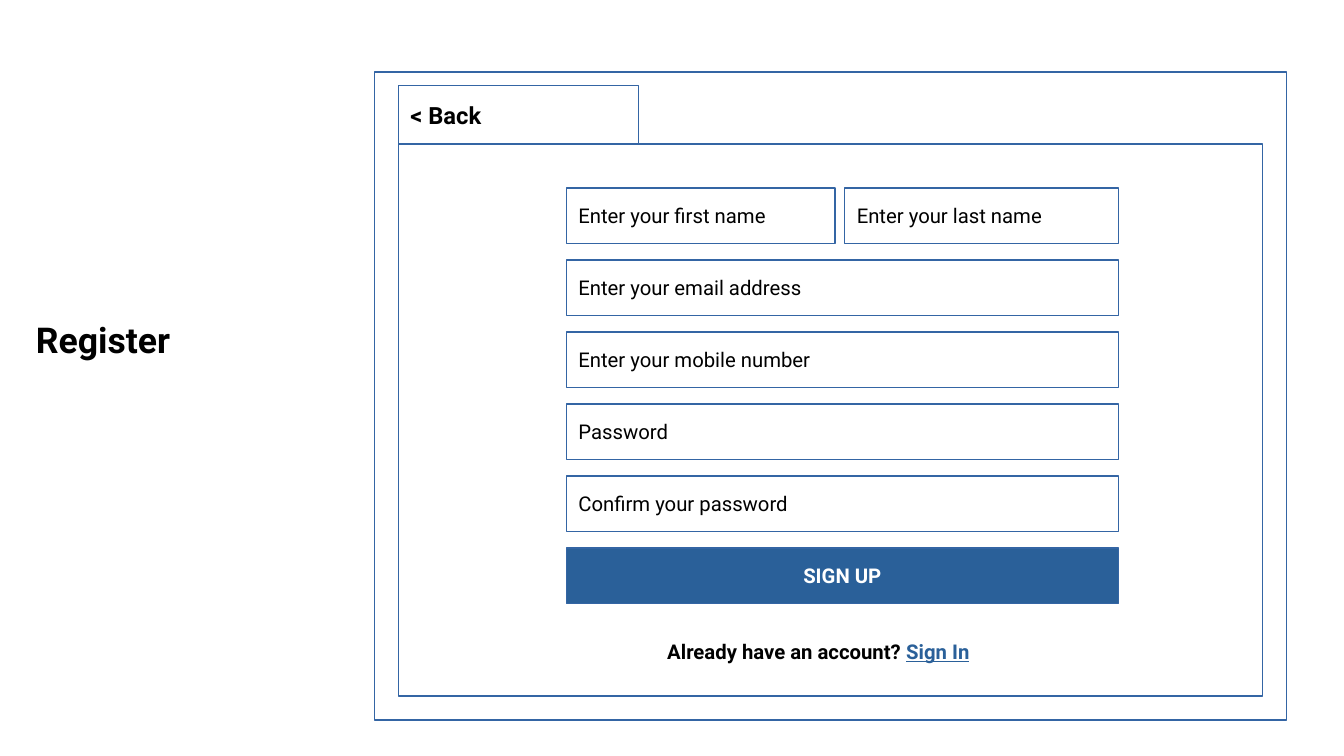
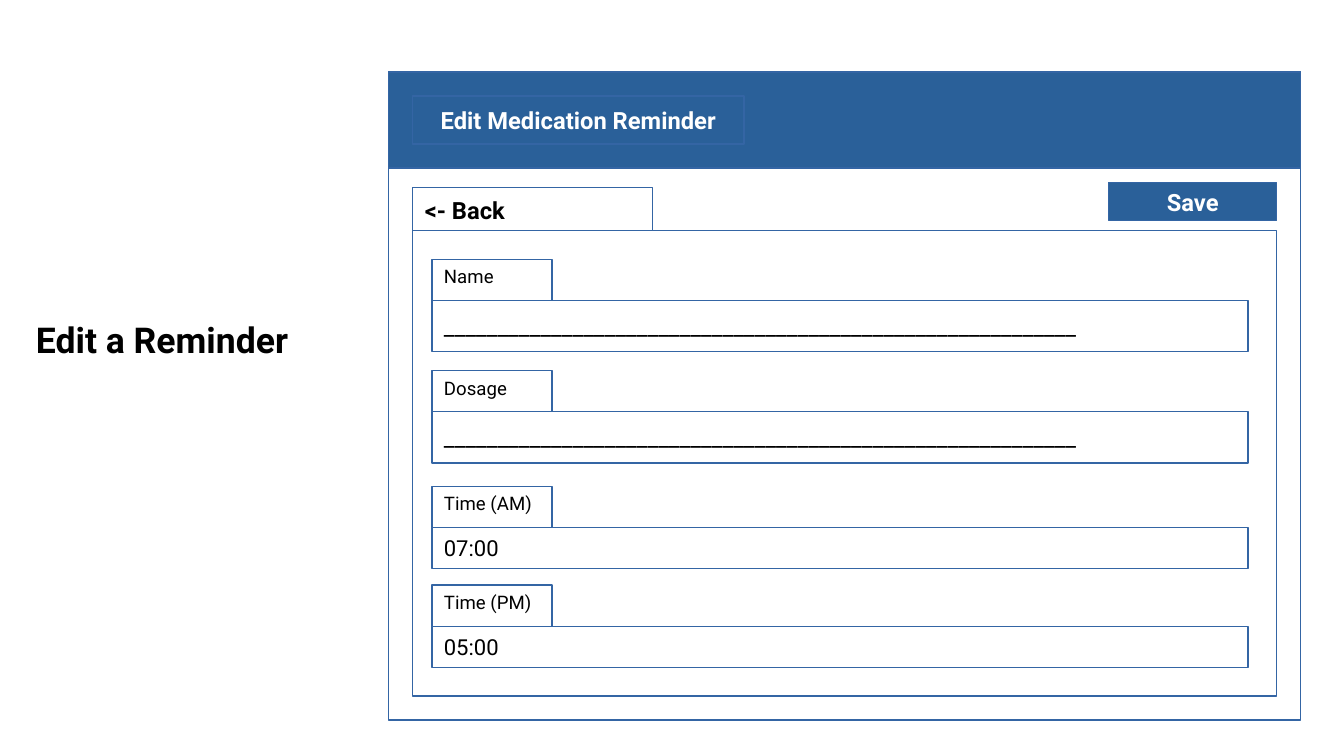
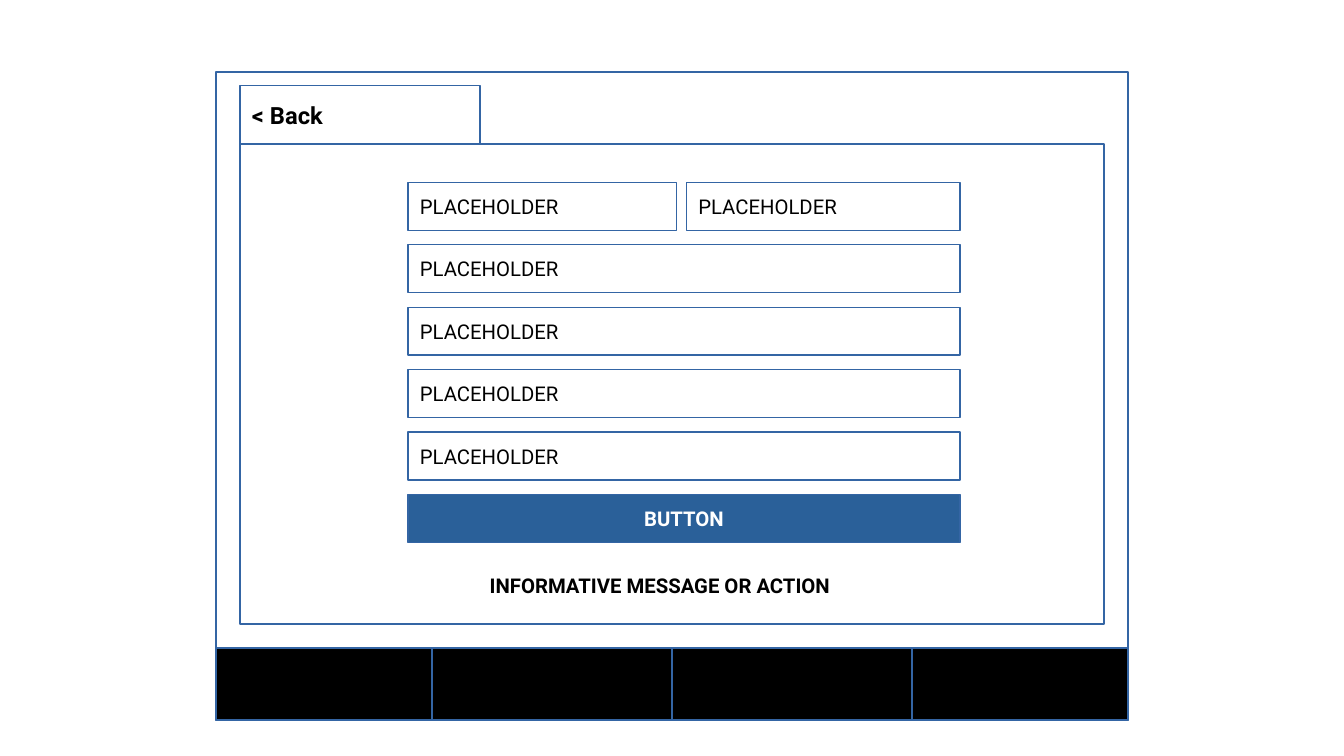
from dataclasses import dataclass

from pptx import Presentation
from pptx.dml.color import RGBColor
from pptx.enum.shapes import MSO_SHAPE
from pptx.enum.text import MSO_ANCHOR, MSO_AUTO_SIZE, PP_ALIGN
from pptx.shapes.autoshape import Shape
from pptx.slide import Slide
from pptx.util import Cm, Pt

RECTANGLE = MSO_SHAPE.RECTANGLE
TOP, MIDDLE, BOTTOM = MSO_ANCHOR.TOP, MSO_ANCHOR.MIDDLE, MSO_ANCHOR.BOTTOM
LEFT, CENTER = PP_ALIGN.LEFT, PP_ALIGN.CENTER
GROW = MSO_AUTO_SIZE.SHAPE_TO_FIT_TEXT

FONT = "Roboto"
BLUE, OUTLINE, WHITE, BLACK = "2A6099", "3465A4", "FFFFFF", "000000"

# Measures shared by the screens, in centimetres
FRAME_TOP, FRAME_WIDTH, FRAME_HEIGHT = 1.5, 19, 13.5
PANEL_INSET, PANEL_WIDTH, TAB_WIDTH = 0.5, 18, 5
FORM_INSET, FORM_WIDTH, MESSAGE_WIDTH = 4, 11.5, 10.5
FIRST_NAME_WIDTH, NAME_GAP = 5.6, 0.2


@dataclass(frozen=True)
class Area:
    left: float
    top: float
    width: float
    height: float


@dataclass(frozen=True)
class TextStyle:
    size: float
    color: str = BLACK
    bold: bool = False
    align: PP_ALIGN = LEFT
    anchor: MSO_ANCHOR = MIDDLE


@dataclass(frozen=True)
class Span:
    text: str
    color: str = BLACK
    underline: bool = False


@dataclass(frozen=True)
class Entry:
    label: str
    value: str
    top: float
    height: float
    size: float


@dataclass(frozen=True)
class Form:
    top: float
    row_height: float
    pitch: float
    names: tuple[str, str]
    fields: tuple[str, ...]
    button: str
    message: tuple[Span, ...]
    message_top: float


TITLE = TextStyle(21, bold=True, anchor=TOP)
TAB = TextStyle(14, bold=True)
LOW_TAB = TextStyle(14, bold=True, anchor=BOTTOM)
HEADING = TextStyle(14, WHITE, True, CENTER)
BUTTON = TextStyle(12, WHITE, True, CENTER)
MESSAGE = TextStyle(12, bold=True, align=CENTER)
FIELD = TextStyle(12)
LABEL = TextStyle(11, anchor=TOP)


def rgb(color: str) -> RGBColor:
    return RGBColor.from_string(color)


def write(box: Shape, text: str, style: TextStyle) -> None:
    frame = box.text_frame
    frame.word_wrap = True
    frame.vertical_anchor = style.anchor
    frame.text = text
    para = frame.paragraphs[0]
    para.alignment = style.align
    for span in para.runs:
        span.font.name = FONT
        span.font.size = Pt(style.size)
        span.font.bold = style.bold
        span.font.color.rgb = rgb(style.color)


def add_box(slide: Slide, area: Area, text: str = "", style: TextStyle = FIELD,
            fill: str | None = WHITE, line: str | None = OUTLINE) -> Shape:
    box = slide.shapes.add_shape(RECTANGLE, Cm(area.left), Cm(area.top),
                                 Cm(area.width), Cm(area.height))
    box.shadow.inherit = False
    if fill:
        box.fill.solid()
        box.fill.fore_color.rgb = rgb(fill)
    else:
        box.fill.background()
    if line:
        box.line.color.rgb = rgb(line)
        box.line.width = Pt(0)
    else:
        box.line.fill.background()
    if text:
        write(box, text, style)
    return box


def add_title(slide: Slide, text: str) -> None:
    box = slide.shapes.add_textbox(Cm(0.5), Cm(6.5), Cm(7), Cm(1.07))
    write(box, text, TITLE)
    box.text_frame.auto_size = GROW


def add_frame(slide: Slide, left: float) -> None:
    add_box(slide, Area(left, FRAME_TOP, FRAME_WIDTH, FRAME_HEIGHT))


def add_panel(slide: Slide, area: Area, tab_height: float, tab_text: str,
              tab_style: TextStyle) -> None:
    add_box(slide, area)
    tab = Area(area.left, area.top - tab_height, TAB_WIDTH, tab_height)
    add_box(slide, tab, tab_text, tab_style)


def add_message(slide: Slide, area: Area, spans: tuple[Span, ...]) -> None:
    box = add_box(slide, area, spans[0].text, MESSAGE, line=None)
    para = box.text_frame.paragraphs[0]
    for part in spans[1:]:
        span = para.add_run()
        span.text = part.text
        span.font.name = FONT
        span.font.size = Pt(MESSAGE.size)
        span.font.bold = MESSAGE.bold
        span.font.underline = part.underline
        span.font.color.rgb = rgb(part.color)


def add_form_screen(slide: Slide, left: float, panel_height: float, form: Form) -> None:
    add_frame(slide, left)
    panel = Area(left + PANEL_INSET, 3, PANEL_WIDTH, panel_height)
    add_panel(slide, panel, 1.22, "< Back", TAB)

    # Two name fields side by side
    form_left = left + FORM_INSET
    first, last = form.names
    offset = FIRST_NAME_WIDTH + NAME_GAP
    add_box(slide, Area(form_left, form.top, FIRST_NAME_WIDTH, form.row_height), first)
    add_box(slide, Area(form_left + offset, form.top, FORM_WIDTH - offset,
                        form.row_height), last)

    # Full-width fields, then the button in the last row
    rows = [(text, FIELD, WHITE) for text in form.fields] + [(form.button, BUTTON, BLUE)]
    for index, (text, style, fill) in enumerate(rows, start=1):
        row = Area(form_left, form.top + index * form.pitch, FORM_WIDTH, form.row_height)
        add_box(slide, row, text, style, fill)

    message = Area(form_left, form.message_top, MESSAGE_WIDTH, form.row_height)
    add_message(slide, message, form.message)


def build_register(slide: Slide) -> None:
    form = Form(
        top=3.92, row_height=1.15, pitch=1.5,
        names=("Enter your first name", "Enter your last name"),
        fields=("Enter your email address", "Enter your mobile number",
                "Password", "Confirm your password"),
        button="SIGN UP",
        message=(Span("Already have an account? "), Span("Sign In", BLUE, True)),
        message_top=13)
    add_form_screen(slide, 7.8, 11.5, form)
    add_title(slide, "Register")


def build_reminder(slide: Slide) -> None:
    left = 8.1
    panel_left = left + PANEL_INSET
    add_frame(slide, left)

    # Header band and its heading
    add_box(slide, Area(left, FRAME_TOP, FRAME_WIDTH, 2), fill=BLUE)
    add_box(slide, Area(panel_left, 2, 6.9, 1), "Edit Medication Reminder",
            HEADING, fill=None)

    add_panel(slide, Area(panel_left, 4.8, PANEL_WIDTH, 9.7), 0.9, "<- Back", LOW_TAB)
    add_title(slide, "Edit a Reminder")

    # Labelled entries
    blank_line = "_" * 59
    label_height = 0.86
    entries = (
        Entry("Name", blank_line, 5.4, 1.07, 14),
        Entry("Dosage", blank_line, 7.72, 1.07, 14),
        Entry("Time (AM)", "07:00", 10.13, 0.86, 13),
        Entry("Time (PM)", "05:00", 12.19, 0.86, 13),
    )
    for entry in entries:
        value_area = Area(9, entry.top + label_height, 17, entry.height)
        add_box(slide, value_area, entry.value, TextStyle(entry.size))
        add_box(slide, Area(9, entry.top, 2.5, label_height), entry.label, LABEL)

    add_box(slide, Area(23.1, 3.8, 3.5, 0.8), "Save", HEADING, BLUE)


def build_template(slide: Slide) -> None:
    left = 4.5
    form = Form(
        top=3.8, row_height=1, pitch=1.3,
        names=("PLACEHOLDER",) * 2,
        fields=("PLACEHOLDER",) * 4,
        button="BUTTON",
        message=(Span("INFORMATIVE MESSAGE OR ACTION"),),
        message_top=11.7)
    add_form_screen(slide, left, 10, form)

    # Navigation bar
    bar_top, bar_height = 13.5, 1.5
    add_box(slide, Area(left, bar_top, FRAME_WIDTH, bar_height), fill=BLACK)
    cell_left = left
    for width in (4.5, 5, 5, 4.5):
        add_box(slide, Area(cell_left, bar_top, width, bar_height), fill=BLACK)
        cell_left += width


def main() -> None:
    deck = Presentation()
    deck.slide_width, deck.slide_height = Cm(28), Cm(15.75)
    blank = deck.slide_layouts[6]
    for build in (build_register, build_reminder, build_template):
        build(deck.slides.add_slide(blank))
    deck.save("out.pptx")


if __name__ == "__main__":
    main()
